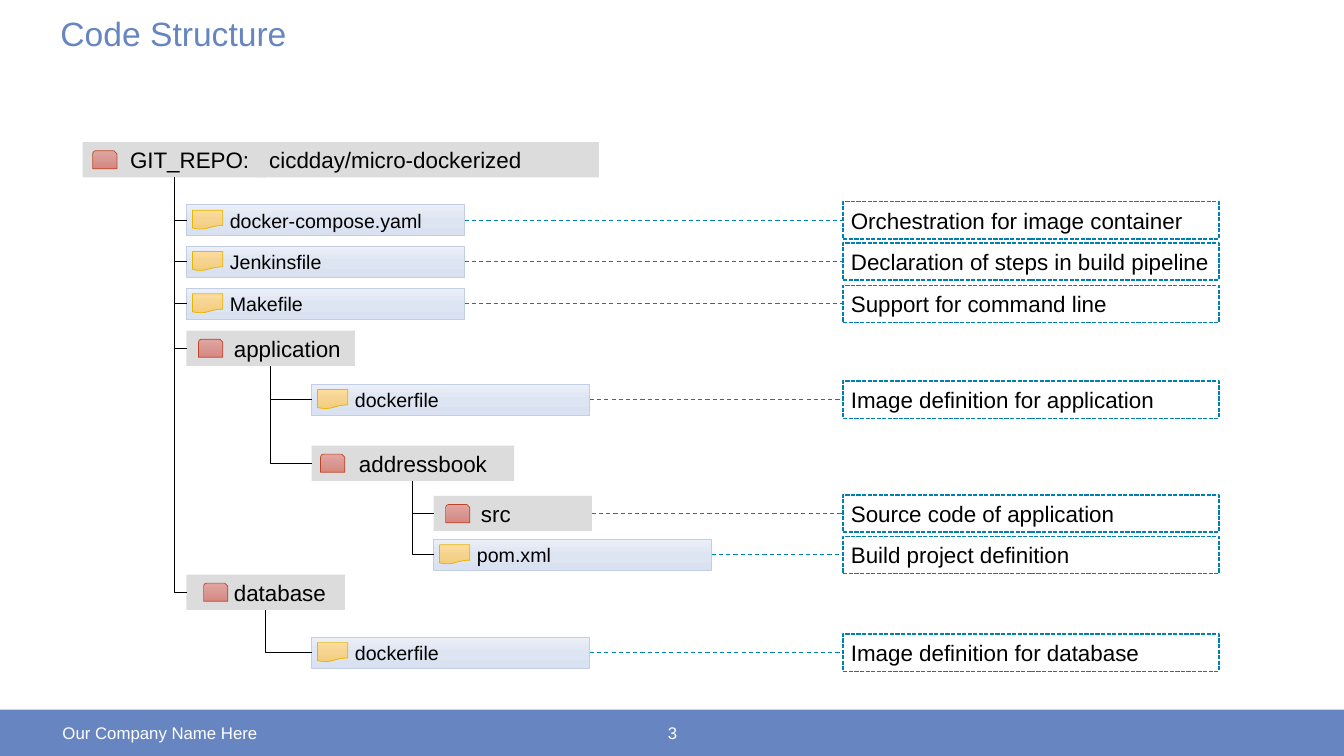
from copy import deepcopy
from dataclasses import dataclass
from typing import Optional

from pptx import Presentation
from pptx import util as u
from pptx.dml import color
from pptx.enum import dml, shapes, text
from pptx.oxml import parse_xml
from pptx.oxml.ns import nsdecls

SHAPE = shapes.MSO_SHAPE


@dataclass(frozen=True)
class Theme:
    font: str = "Arial"
    brand: str = "6785C1"
    ink: str = "000000"
    paper: str = "FFFFFF"
    folder: str = "DCDCDC"
    note_line: str = "0080B1"
    file_fill: tuple = ("EBEFF7", "DEE5F2", "DAE1F1")
    file_line: str = "C2CEE6"
    document_fill: tuple = ("FEDC9D", "F5D390", "F4CD7C")
    document_line: str = "E6B600"
    tab_fill: tuple = ("E3A59F", "D89893", "D7867E")
    tab_line: str = "BC4328"
    title_size: int = 24
    body_size: int = 16
    file_size: int = 14
    footer_size: int = 12


THEME = Theme()
BAR_INSETS = (0.12, 0.08)
FOLDER_HEIGHT, FILE_HEIGHT, FILE_WIDTH = 0.35, 0.31, 2.76
NOTE_LEFT, NOTE_WIDTH, NOTE_HEIGHT = 8.36, 3.73, 0.37


@dataclass(frozen=True)
class Folder:
    label: str
    left: float
    top: float
    width: float
    icon_gap: float
    parent: Optional["Folder"] = None
    note: str = ""
    height: float = FOLDER_HEIGHT


@dataclass(frozen=True)
class File:
    label: str
    left: float
    top: float
    parent: Folder
    note: str
    width: float = FILE_WIDTH
    height: float = FILE_HEIGHT
    icon_gap: float = 0.06


REPO = Folder("GIT_REPO:", 0.82, 1.41, 1.82, 0.1)
APPLICATION = Folder("application", 1.85, 3.28, 1.67, 0.12, REPO)
DATABASE = Folder("database", 1.85, 5.7, 1.57, 0.17, REPO)
ADDRESSBOOK = Folder("addressbook", 3.09, 4.42, 2.01, 0.09, APPLICATION)
NODES = (
    REPO,
    File("docker-compose.yaml", 1.85, 2.03, REPO, "Orchestration for image container"),
    File("Jenkinsfile", 1.85, 2.44, REPO, "Declaration of steps in build pipeline"),
    File("Makefile", 1.85, 2.86, REPO, "Support for command line"),
    APPLICATION,
    File("dockerfile", 3.09, 3.81, APPLICATION, "Image definition for application"),
    ADDRESSBOOK,
    Folder("src", 4.3, 4.92, 1.57, 0.12, ADDRESSBOOK, "Source code of application"),
    File("pom.xml", 4.3, 5.35, ADDRESSBOOK, "Build project definition"),
    DATABASE,
    File("dockerfile", 3.09, 6.32, DATABASE, "Image definition for database"),
)


def rgb(value: str) -> color.RGBColor:
    return color.RGBColor.from_string(value)


def write(box, words: str, size: int, ink: str = THEME.ink, insets=(0, 0), indent: float = 0,
          before: float = 0, align=text.PP_ALIGN.LEFT, anchor=text.MSO_ANCHOR.MIDDLE):
    frame = box.text_frame
    frame.text = words
    frame.word_wrap = True
    frame.vertical_anchor = anchor
    frame.margin_left = frame.margin_right = u.Inches(insets[0])
    frame.margin_top = frame.margin_bottom = u.Inches(insets[1])
    para = frame.paragraphs[0]
    para.alignment = align
    para.space_before = u.Pt(before)
    properties = para._p.get_or_add_pPr()
    properties.set("marL", str(u.Inches(indent)))
    properties.set("indent", "0")
    span = para.runs[0]
    span.font.name = THEME.font
    span.font.size = u.Pt(size)
    span.font.color.rgb = rgb(ink)
    return para


def add_label(page, place: tuple, words: str, size: int, ink: str, **style):
    box = page.shapes.add_textbox(*map(u.Inches, place))
    return write(box, words, size, ink, **style)


def paint_gradient(shape, colours: tuple) -> None:
    shape.fill.gradient()
    shape.fill.gradient_angle = 270
    stops = shape.element.spPr.find(".//{*}gsLst")
    stops.insert(1, deepcopy(stops[0]))
    for stop, position, value in zip(shape.fill.gradient_stops, (0, 0.5, 1), colours):
        stop.position = position
        stop.color.rgb = rgb(value)


def add_block(page, kind, place: tuple, fill, line: str = "", weight: float = 0.5):
    shape = page.shapes.add_shape(kind, *map(u.Inches, place))
    shape.shadow.inherit = False
    if isinstance(fill, tuple):
        paint_gradient(shape, fill)
    else:
        shape.fill.solid()
        shape.fill.fore_color.rgb = rgb(fill)
    if line:
        shape.line.color.rgb = rgb(line)
        shape.line.width = u.Pt(weight)
    else:
        shape.line.fill.background()
    return shape


def add_line(page, kind, ends: tuple, ink: str):
    line = page.shapes.add_connector(kind, *map(u.Inches, ends))
    line.line.color.rgb = rgb(ink)
    line.line.width = u.Pt(0.75)
    line.element.spPr.append(parse_xml(f"<a:effectLst {nsdecls('a')}/>"))
    return line


def add_branch(page, node, middle: float) -> None:
    parent = node.parent
    ends = (parent.left + parent.width / 2, parent.top + parent.height, node.left, middle)
    branch = add_line(page, shapes.MSO_CONNECTOR.ELBOW, ends, THEME.ink)
    # Half a turn makes the single bend run down first, then right
    properties = branch.element.spPr
    properties.find("{*}prstGeom").set("prst", "bentConnector2")
    properties.find("{*}xfrm").set("rot", "10800000")


def add_note(page, node, middle: float) -> None:
    ends = (node.left + node.width, middle, NOTE_LEFT, middle)
    leader = add_line(page, shapes.MSO_CONNECTOR.STRAIGHT, ends, THEME.note_line)
    leader.line.dash_style = dml.MSO_LINE.DASH
    place = (NOTE_LEFT, middle - NOTE_HEIGHT / 2, NOTE_WIDTH, NOTE_HEIGHT)
    box = add_block(page, SHAPE.RECTANGLE, place, THEME.paper, THEME.note_line, 1)
    box.line.dash_style = dml.MSO_LINE.SQUARE_DOT
    write(box, node.note, THEME.body_size, indent=0.08, before=6)


def add_node(page, node) -> None:
    middle = node.top + node.height / 2
    place = (node.left, node.top, node.width, node.height)
    icon_left = node.left + node.icon_gap
    if isinstance(node, Folder):
        bar = add_block(page, SHAPE.RECTANGLE, place, THEME.folder)
        size, indent = THEME.body_size, 0.35
        add_block(page, SHAPE.SNIP_ROUND_RECTANGLE, (icon_left, middle - 0.09, 0.24, 0.18),
                  THEME.tab_fill, THEME.tab_line)
    else:
        bar = add_block(page, SHAPE.RECTANGLE, place, THEME.file_fill, THEME.file_line)
        size, indent = THEME.file_size, 0.31
        add_block(page, SHAPE.FLOWCHART_DOCUMENT, (icon_left, middle - 0.1, 0.3, 0.19),
                  THEME.document_fill, THEME.document_line)
    write(bar, node.label, size, insets=BAR_INSETS, indent=indent, before=6)
    if node.parent:
        add_branch(page, node, middle)
    if node.note:
        add_note(page, node, middle)


def main() -> None:
    deck = Presentation()
    deck.slide_width, deck.slide_height = u.Inches(13.33), u.Inches(7.5)
    page = deck.slides.add_slide(deck.slide_layouts[6])

    # Title and footer
    title = add_label(page, (0.6, 0.21, 12.13, 0.55), "Code Structure", THEME.title_size,
                      THEME.brand, anchor=text.MSO_ANCHOR.TOP)
    title.line_spacing = 0.8
    add_block(page, SHAPE.RECTANGLE, (0, 7.04, 13.33, 0.46), THEME.brand)
    add_label(page, (0.6, 7.19, 4.5, 0.16), "Our Company Name Here", THEME.footer_size,
              THEME.paper, insets=(0.02, 0))
    add_label(page, (6.4, 7.19, 0.54, 0.16), "3", THEME.footer_size, THEME.paper,
              align=text.PP_ALIGN.CENTER)

    # Repository tree with its notes
    for node in NODES:
        add_node(page, node)

    # Repository name
    name = add_block(page, SHAPE.RECTANGLE, (2.55, REPO.top, 3.39, REPO.height), THEME.folder)
    write(name, "cicdday/micro-dockerized", THEME.body_size, insets=BAR_INSETS, before=6)

    deck.save("out.pptx")


if __name__ == "__main__":
    main()
